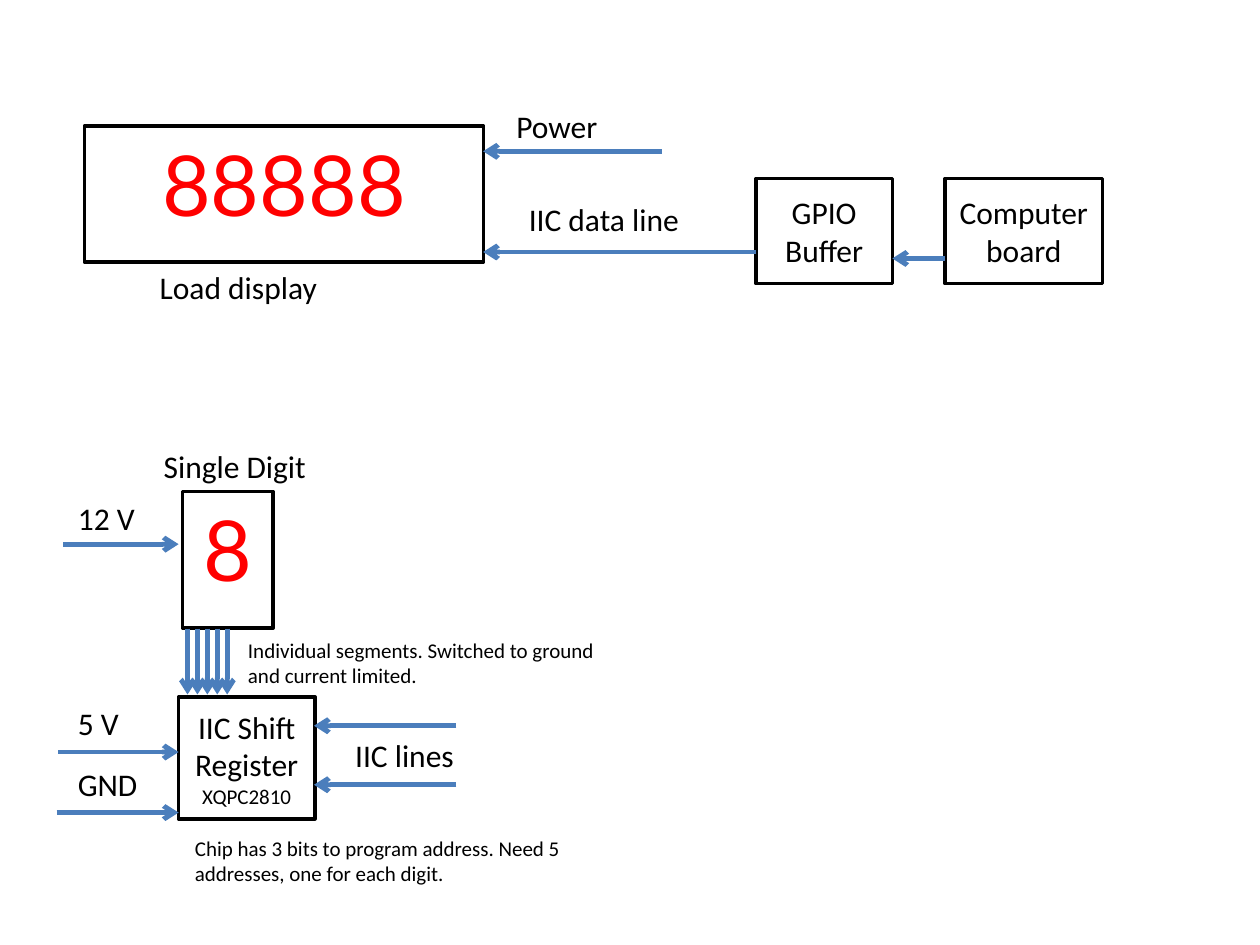
"""Build the block diagram of a load display and its single-digit circuit."""
import pptx
import pptx.dml.color
import pptx.enum.shapes
import pptx.enum.text
import pptx.oxml
import pptx.oxml.ns
import pptx.util
from dataclasses import dataclass

Cm, Pt = pptx.util.Cm, pptx.util.Pt
RGB = pptx.dml.color.RGBColor.from_string
ANCHOR = pptx.enum.text.MSO_ANCHOR
qn = pptx.oxml.ns.qn


@dataclass(frozen=True)
class Theme:
    ink: str = "000000"
    paper: str = "FFFFFF"
    led: str = "FF0000"
    arrow: str = "4B7EBC"
    font: str = "Calibri"
    led_font: str = "Lato"
    led_size: int = 48
    body: int = 18
    small: int = 12
    border: float = 2
    arrow_width: float = 2.75


T = Theme()

DISPLAYS = [
    (("88888", (1.7, 2.54, 8.05, 2.74)), ("Load display", (2.97, 5.28, 6.15, 1.02))),
    (("8", (3.68, 9.91, 1.83, 2.75)), ("Single Digit", (3.05, 8.89, 3.86, 1.02))),
]
BOXES = [
    ("GPIO Buffer", "", (15.24, 3.6, 2.75, 2.12)),
    ("Computer board", "", (19.05, 3.6, 3.18, 2.12)),
    ("IIC Shift Register", "XQPC2810", (3.6, 14.05, 2.75, 2.46)),
]
LABELS = [
    ("Power", (10.16, 2.03, 2.24, 1.02)),
    ("IIC data line", (10.41, 3.91, 4.19, 1.02)),
    ("12 V", (1.32, 9.93, 2.24, 1.02)),
    ("IIC lines", (6.91, 14.71, 2.77, 1.02)),
    ("5 V", (1.32, 14.07, 2.24, 1.02)),
    ("GND", (1.32, 15.29, 2.24, 1.02)),
]
NOTES = [
    ("Individual segments. Switched to ground and current limited.", (4.75, 12.73, 7.95, 1.27)),
    ("Chip has 3 bits to program address. Need 5 addresses, one for each digit.",
     (3.68, 16.71, 7.95, 1.27)),
]
SIGNALS = [
    (13.34, 9.74, 3.05),
    (15.24, 9.74, 5.08),
    (19.05, 17.99, 5.21),
    (1.27, 3.6, 10.97),
    (9.2, 6.33, 14.63),
    (9.2, 6.33, 15.82),
    (1.17, 3.6, 15.16),
    (1.14, 3.6, 16.38),
]
SEGMENTS = {"count": 5, "left": 3.78, "step": 0.2, "top": 12.67, "bottom": 14.0}


def style(font, size, color=T.ink, name=T.font):
    font.size, font.name = Pt(size), name
    font.color.rgb = RGB(color)


def add_label(shapes, text, at, size=T.body):
    tf = shapes.add_textbox(*map(Cm, at)).text_frame
    tf.word_wrap = True
    p = tf.paragraphs[0]
    p.text = text
    style(p.font, size)


def add_box(shapes, text, at, anchor=ANCHOR.MIDDLE):
    sp = shapes.add_shape(pptx.enum.shapes.MSO_SHAPE.RECTANGLE, *map(Cm, at))
    sp.shadow.inherit = False
    sp.fill.solid()
    sp.fill.fore_color.rgb = RGB(T.paper)
    sp.line.color.rgb = RGB(T.ink)
    sp.line.width = Pt(T.border)
    sp.text_frame.word_wrap = True
    sp.text_frame.vertical_anchor = anchor
    p = sp.text_frame.paragraphs[0]
    p.alignment = pptx.enum.text.PP_ALIGN.CENTER
    p.text = text
    style(p.font, T.body)
    return p


def add_arrow(shapes, x1, y1, x2, y2):
    cx = shapes.add_connector(pptx.enum.shapes.MSO_CONNECTOR.STRAIGHT,
                              *map(Cm, (x1, y1, x2, y2)))
    cx.line.color.rgb = RGB(T.arrow)
    cx.line.width = Pt(T.arrow_width)
    ln = cx.line._get_or_add_ln()
    ln.append(pptx.oxml.parse_xml(
        '<a:tailEnd xmlns:a="http://schemas.openxmlformats.org/drawingml/2006/main" type="arrow"/>'))
    ln.addnext(ln.makeelement(qn("a:effectLst"), {}))


prs = pptx.Presentation()
prs.slide_width, prs.slide_height = Cm(25.4), Cm(19.05)
shapes = prs.slides.add_slide(prs.slide_layouts[6]).shapes

for (digits, screen), (caption, place) in DISPLAYS:
    group = shapes.add_group_shape().shapes
    p = add_box(group, digits, screen, ANCHOR.TOP)
    style(p.font, T.led_size, T.led, T.led_font)
    add_label(group, caption, place)

for name, part, at in BOXES:
    p = add_box(shapes, name, at)
    if part:
        p.add_line_break()
        r = p.add_run()
        r.text = part
        r.font.size = Pt(T.small)

for start, end, y in SIGNALS:
    add_arrow(shapes, start, y, end, y)
for i in range(SEGMENTS["count"]):
    x = SEGMENTS["left"] + i * SEGMENTS["step"]
    add_arrow(shapes, x, SEGMENTS["top"], x, SEGMENTS["bottom"])

for text, at in LABELS:
    add_label(shapes, text, at)
for text, at in NOTES:
    add_label(shapes, text, at, T.small)

prs.save("out.pptx")
